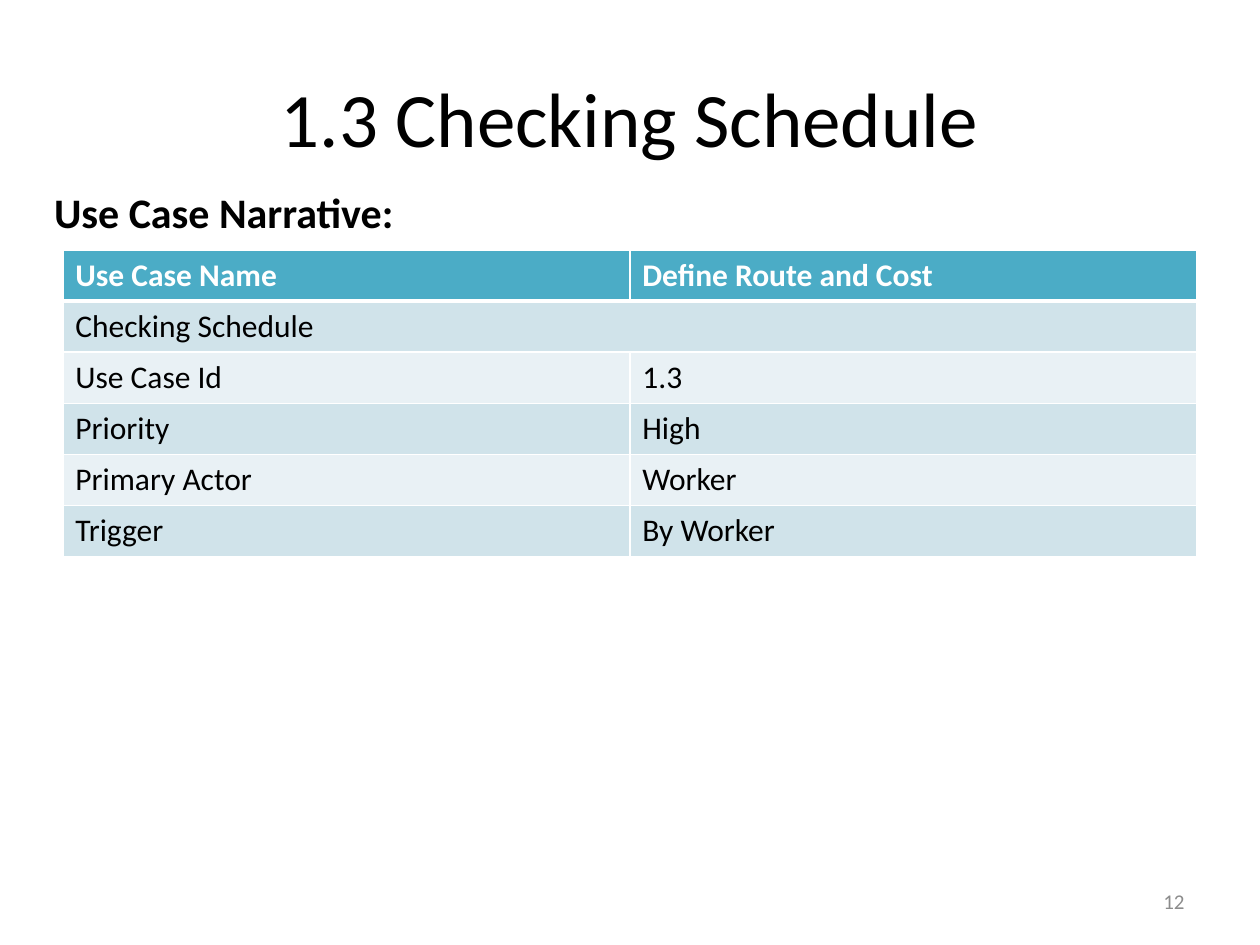
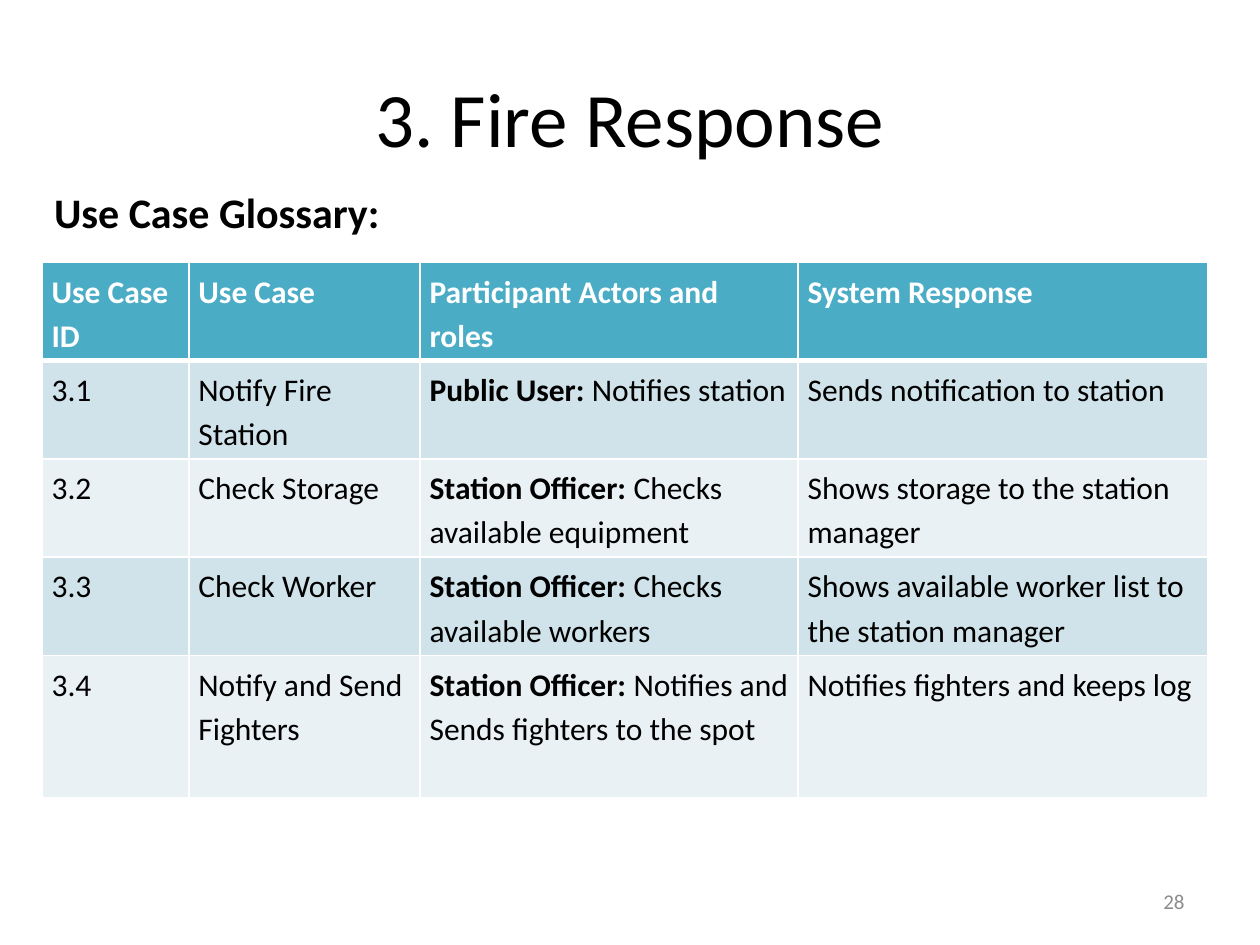
from dataclasses import dataclass

from lxml import etree
from pptx import Presentation
from pptx import util as u
from pptx.dml.color import RGBColor
from pptx.enum import text as t
from pptx.oxml import ns

FONT = "Calibri"
INK = {
    "black": "000000",
    "white": "FFFFFF",
    "gray": "8C8C8C",
    "head": "4BACC6",
    "dark": "D0E3EA",
    "light": "E9F1F5",
}


@dataclass(frozen=True)
class Label:
    left: float
    top: float
    width: float
    height: float
    size: int
    color: str = "black"
    bold: bool = False
    align: t.PP_ALIGN = t.PP_ALIGN.LEFT
    anchor: t.MSO_ANCHOR = t.MSO_ANCHOR.MIDDLE


@dataclass(frozen=True)
class Grid:
    left: float
    top: float
    widths: list[float]
    heights: list[float]
    rows: list[list[str]]
    side: float = 0.25
    edge: float = 0.13
    pitch: float = 1.0


@dataclass(frozen=True)
class Page:
    title: str
    topic: str
    number: str
    grid: Grid


TITLE = Label(1.27, 0.76, 22.86, 3.18, 44, align=t.PP_ALIGN.CENTER)
TOPIC = Label(0.84, 3.63, 13.33, 1.27, 24, bold=True, anchor=t.MSO_ANCHOR.TOP)
NUMBER = Label(18.21, 17.65, 5.92, 1.02, 12, "gray", align=t.PP_ALIGN.RIGHT)

PAGES = [
    Page("1.3 Checking Schedule", "Use Case Narrative:", "12", Grid(
        1.27, 5.04, [11.43] * 2, [1.03] * 6,
        [
            ["Use Case Name", "Define Route and Cost"],
            ["Checking Schedule"],
            ["Use Case Id", "1.3"],
            ["Priority", "High"],
            ["Primary Actor", "Worker"],
            ["Trigger", "By Worker"],
        ],
    )),
    Page("3. Fire Response", "Use Case Glossary:", "28", Grid(
        0.85, 5.29, [2.96, 4.66, 7.62, 8.26], [1.98] * 4 + [2.87],
        [
            ["Use Case ID", "Use Case", "Participant Actors and roles",
             "System Response"],
            ["3.1", "Notify Fire Station", "Public User: Notifies station",
             "Sends notification to station"],
            ["3.2", "Check Storage",
             "Station Officer: Checks available equipment",
             "Shows storage to the station manager"],
            ["3.3", "Check Worker",
             "Station Officer: Checks available workers",
             "Shows available worker list to the station manager"],
            ["3.4", "Notify and Send Fighters",
             "Station Officer: Notifies and Sends fighters to the spot",
             "Notifies fighters and keeps log"],
        ],
        side=0.19, edge=0.1, pitch=1.15,
    )),
]


def write(frame, words: str, *, size: int = 18, color: str = "black",
          bold: bool = False, align=t.PP_ALIGN.LEFT,
          pitch: float = 1.0) -> None:
    para = frame.paragraphs[0]
    para.alignment = align
    para.line_spacing = pitch
    lead, colon, rest = words.partition(":")
    for part, strong in ((lead + colon, bold or bool(colon)), (rest, bold)):
        if part:
            run = para.add_run()
            run.text = part
            run.font.name = FONT
            run.font.size = u.Pt(size)
            run.font.bold = strong
            run.font.color.rgb = RGBColor.from_string(INK[color])


def label(slide, form: Label, words: str) -> None:
    box = slide.shapes.add_textbox(
        u.Cm(form.left), u.Cm(form.top), u.Cm(form.width), u.Cm(form.height))
    frame = box.text_frame
    frame.word_wrap = True
    frame.vertical_anchor = form.anchor
    write(frame, words, size=form.size, color=form.color, bold=form.bold,
          align=form.align)


def border(cell, row: int) -> None:
    props = cell._tc.get_or_add_tcPr()
    wide = {0: "lnB", 1: "lnT"}.get(row)
    for side in ("lnL", "lnR", "lnT", "lnB"):
        line = etree.SubElement(props, ns.qn(f"a:{side}"))
        line.set("w", str(u.Pt(3 if side == wide else 1)))
        fill = etree.SubElement(line, ns.qn("a:solidFill"))
        etree.SubElement(fill, ns.qn("a:srgbClr")).set("val", INK["white"])


def table(slide, grid: Grid) -> None:
    count = len(grid.widths)
    frame = slide.shapes.add_table(
        len(grid.rows), count, u.Cm(grid.left), u.Cm(grid.top),
        u.Cm(sum(grid.widths)), u.Cm(sum(grid.heights)))
    body = frame.table
    body.first_row = body.horz_banding = False
    for col, width in zip(body.columns, grid.widths):
        col.width = u.Cm(width)
    for row, words in enumerate(grid.rows):
        body.rows[row].height = u.Cm(grid.heights[row])
        head = row == 0
        shade = "head" if head else "dark" if row % 2 else "light"
        for col in range(count):
            cell = body.cell(row, col)
            border(cell, row)
            cell.fill.solid()
            cell.fill.fore_color.rgb = RGBColor.from_string(INK[shade])
            cell.margin_left = cell.margin_right = u.Cm(grid.side)
            cell.margin_top = cell.margin_bottom = u.Cm(grid.edge)
            if col < len(words):
                write(cell.text_frame, words[col], bold=head,
                      color="white" if head else "black", pitch=grid.pitch)
        if len(words) < count:
            body.cell(row, len(words) - 1).merge(body.cell(row, count - 1))


def main() -> None:
    deck = Presentation()
    deck.slide_width, deck.slide_height = u.Cm(25.4), u.Cm(19.05)
    for page in PAGES:
        slide = deck.slides.add_slide(deck.slide_layouts[6])
        label(slide, TITLE, page.title)
        table(slide, page.grid)
        label(slide, NUMBER, page.number)
        label(slide, TOPIC, page.topic)
    deck.save("out.pptx")


if __name__ == "__main__":
    main()
